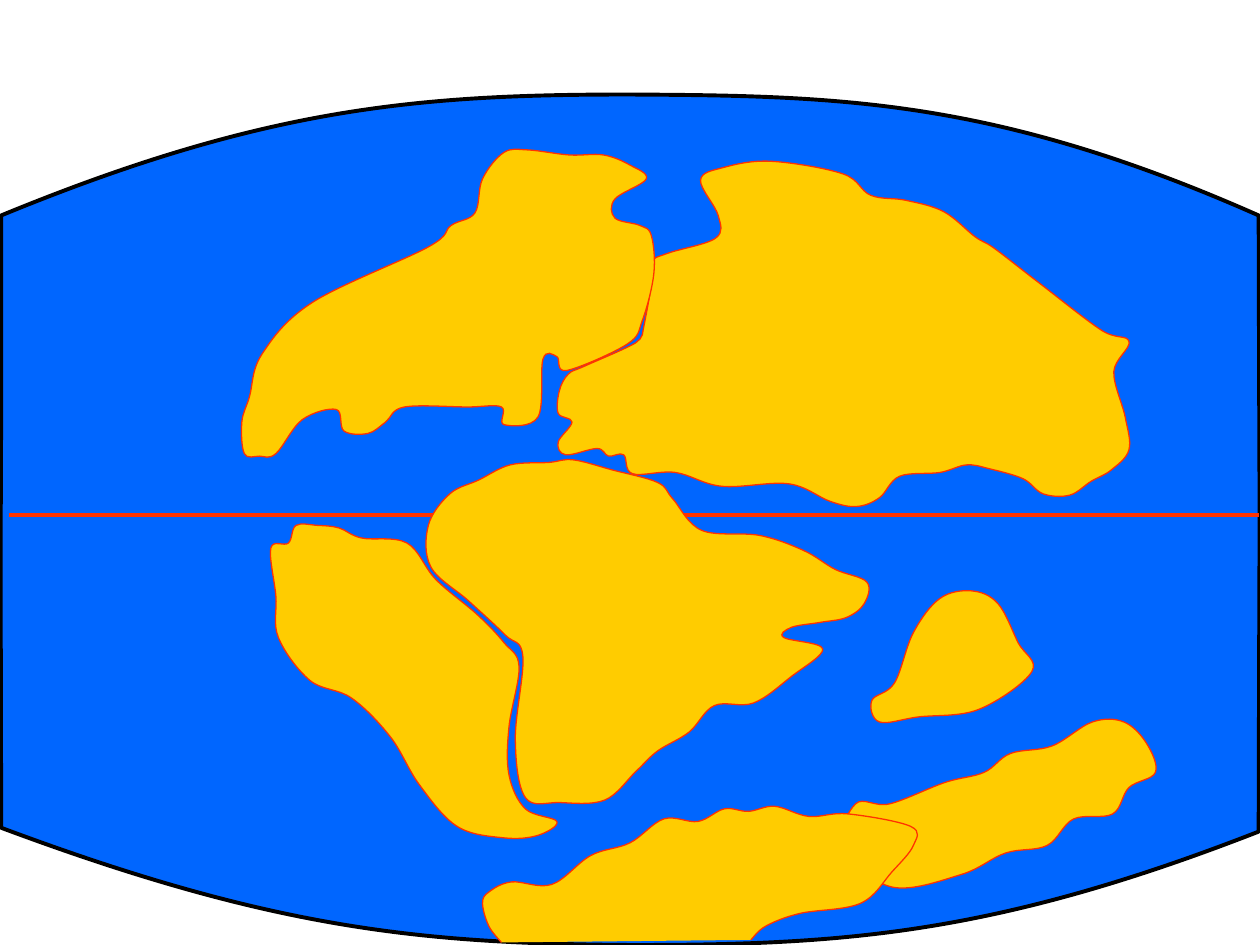
import pptx
import pptx.dml.color
import pptx.enum.shapes
import pptx.oxml.ns
import pptx.util
from lxml import etree

Cm = pptx.util.Cm
qn = pptx.oxml.ns.qn
UNIT = 0.0254

SEA = [
    (1, 171), (1, 575), (0, 235), (1, 657), (218, 738), (336, 749), (502, 750),
    (669, 750), (789, 742), (999, 660), (1000, 241), (1000, 578), (999, 171),
    (789, 78), (665, 76), (499, 75), (333, 75), (210, 85), (1, 171),
]
ASIA = [
    (568, 189), (570, 171), (556, 143), (574, 133), (612, 128), (669, 138),
    (691, 155), (719, 159), (749, 168), (774, 188), (789, 197), (824, 224),
    (874, 262), (896, 271), (884, 295), (893, 331), (896, 357), (882, 373),
    (866, 382), (849, 393), (828, 392), (812, 380), (785, 372), (767, 369),
    (746, 375), (714, 378), (698, 395), (680, 402), (659, 398), (626, 384),
    (573, 386), (536, 375), (502, 376), (495, 361), (483, 362), (474, 356),
    (449, 361), (443, 351), (454, 335), (443, 328), (444, 310), (451, 297),
    (463, 291), (497, 276), (508, 269), (511, 259), (517, 225), (517, 208),
    (530, 201),
]
NORTH = [
    (452, 123), (479, 123), (500, 131), (513, 142), (488, 158), (488, 173),
    (508, 179), (517, 187), (519, 217), (510, 254), (498, 273), (450, 294),
    (442, 283), (431, 285), (427, 331), (400, 337), (398, 323), (371, 323),
    (321, 323), (306, 335), (292, 344), (273, 342), (267, 325), (240, 333),
    (219, 360), (206, 362), (194, 360), (192, 335), (198, 315), (208, 281),
    (248, 240), (340, 196), (358, 179), (377, 169), (383, 142), (400, 121),
    (419, 119),
]
AFRICA = [
    (380, 381), (405, 369), (436, 367), (455, 365), (486, 373), (522, 383),
    (534, 396), (557, 421), (603, 425), (638, 437), (663, 452), (688, 462),
    (686, 479), (672, 490), (651, 494), (628, 498), (622, 506), (653, 515),
    (628, 537), (598, 558), (567, 560), (547, 581), (522, 596), (505, 612),
    (480, 635), (444, 637), (417, 633), (409, 587), (415, 521), (401, 504),
    (372, 477), (342, 450), (340, 417), (357, 392),
]
SOUTH = [
    (269, 419), (287, 427), (323, 431), (346, 460), (379, 488), (400, 510),
    (412, 529), (404, 577), (404, 615), (417, 642), (442, 652), (427, 663),
    (400, 665), (363, 656), (333, 623), (310, 585), (279, 554), (246, 540),
    (221, 506), (219, 473), (215, 435), (229, 431), (235, 417), (252, 417),
]
INDIA = [
    (746, 475), (771, 469), (792, 479), (808, 510), (819, 533), (777, 563),
    (729, 569), (698, 573), (692, 556), (710, 542), (725, 502),
]
OZ = [
    (802, 598), (835, 592), (867, 573), (892, 573), (910, 590), (917, 613),
    (896, 625), (883, 646), (852, 650), (831, 671), (798, 677), (763, 694),
    (708, 704), (669, 673), (679, 638), (706, 638), (750, 621), (781, 613),
]
POLE = [
    (398, 748), (388, 735), (383, 717), (388, 708), (406, 700), (438, 702),
    (469, 679), (500, 669), (527, 650), (554, 652), (575, 642), (594, 644),
    (615, 640), (642, 648), (673, 646), (723, 656), (725, 671), (708, 692),
    (683, 717), (635, 725), (608, 735), (596, 746),
]


def color(code):
    return pptx.dml.color.RGBColor.from_string(code)


def smooth(knots, closed):
    if closed:
        ring = [knots[-1], *knots, *knots[:2]]
    else:
        ring = [knots[0], *knots, knots[-1]]
    curve = [knots[0]]
    for a, b, c, d in zip(ring, ring[1:], ring[2:], ring[3:]):
        curve.append((b[0] + (c[0] - a[0]) / 6, b[1] + (c[1] - a[1]) / 6))
        curve.append((c[0] - (d[0] - b[0]) / 6, c[1] - (d[1] - b[1]) / 6))
        curve.append(c)
    return curve


class Map:
    sea = "0066FF"
    land = "FFCC00"
    edge = "FF3300"
    frame = "000000"
    thin = 0.75
    thick = 2.25

    def __init__(self):
        self.deck = pptx.Presentation()
        self.deck.slide_width = Cm(25.4)
        self.deck.slide_height = Cm(19.05)
        self.slide = self.deck.slides.add_slide(self.deck.slide_layouts[6])

    def stroke(self, shape, code, width):
        shape.line.color.rgb = color(code)
        shape.line.width = pptx.util.Pt(width)

    def curve(self, shapes, points, fill, edge, width, closed=True):
        spots = [(Cm(x * UNIT), Cm(y * UNIT)) for x, y in points]
        pen = shapes.build_freeform(*spots[0])
        pen.add_line_segments(spots[1:], close=closed)
        shape = pen.convert_to_shape()
        steps = list(shape.element.iter(qn("a:lnTo")))
        for i in range(0, len(steps), 3):
            first, *rest = steps[i:i + 3]
            first.tag = qn("a:cubicBezTo")
            for step in rest:
                first.append(step[0])
                step.getparent().remove(step)
        shape.shadow.inherit = False
        shape.fill.solid()
        shape.fill.fore_color.rgb = color(fill)
        self.stroke(shape, edge, width)

    def globe(self, points, level, left, right):
        shapes = self.slide.shapes.add_group_shape().shapes
        self.curve(shapes, points, self.sea, self.frame, self.thick)
        line = shapes.add_connector(
            pptx.enum.shapes.MSO_CONNECTOR.STRAIGHT,
            Cm(left * UNIT), Cm(level * UNIT), Cm(right * UNIT), Cm(level * UNIT))
        self.stroke(line, self.edge, self.thick)
        etree.SubElement(line.element.spPr, qn("a:effectLst"))

    def mass(self, knots, closed=True):
        self.curve(self.slide.shapes, smooth(knots, closed),
                   self.land, self.edge, self.thin, closed)


def main():
    world = Map()
    world.globe(SEA, 409, 7, 999)
    for knots in (ASIA, NORTH, AFRICA, SOUTH, INDIA, OZ):
        world.mass(knots)
    world.mass(POLE, closed=False)
    world.deck.save("out.pptx")


if __name__ == "__main__":
    main()
